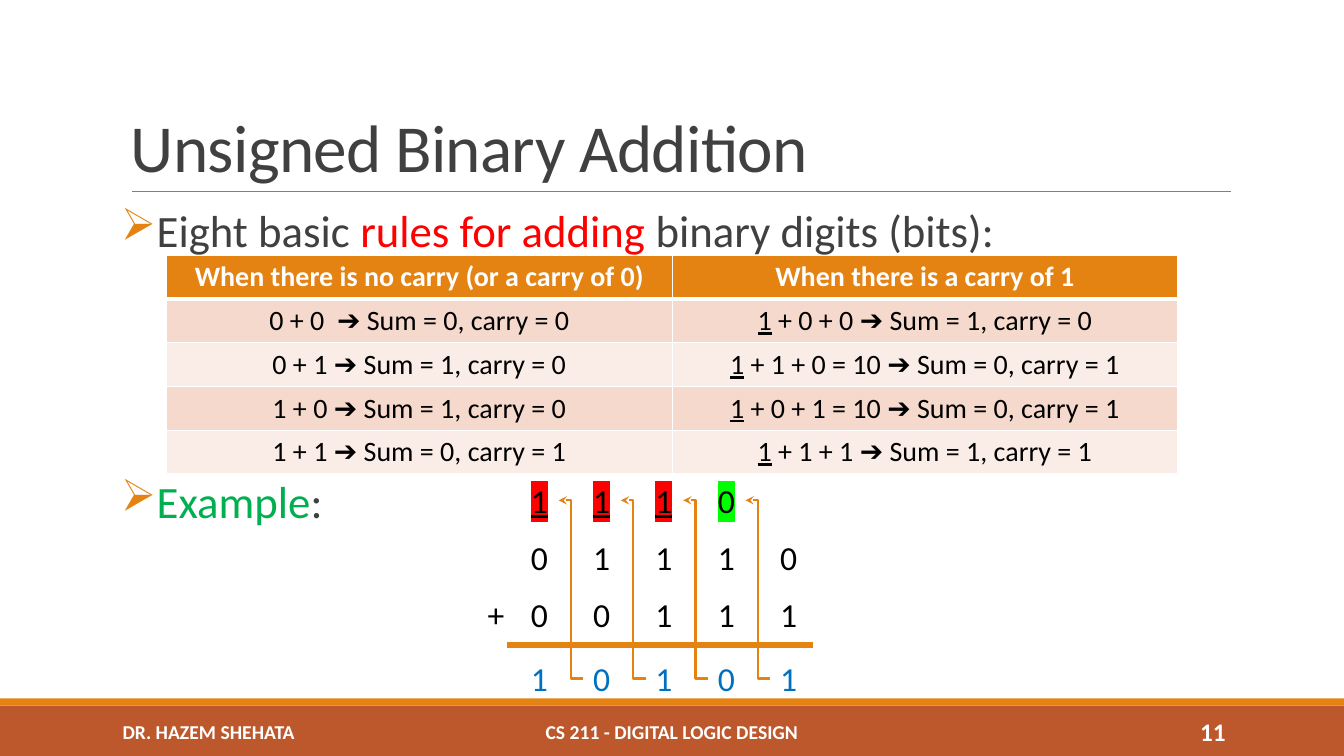
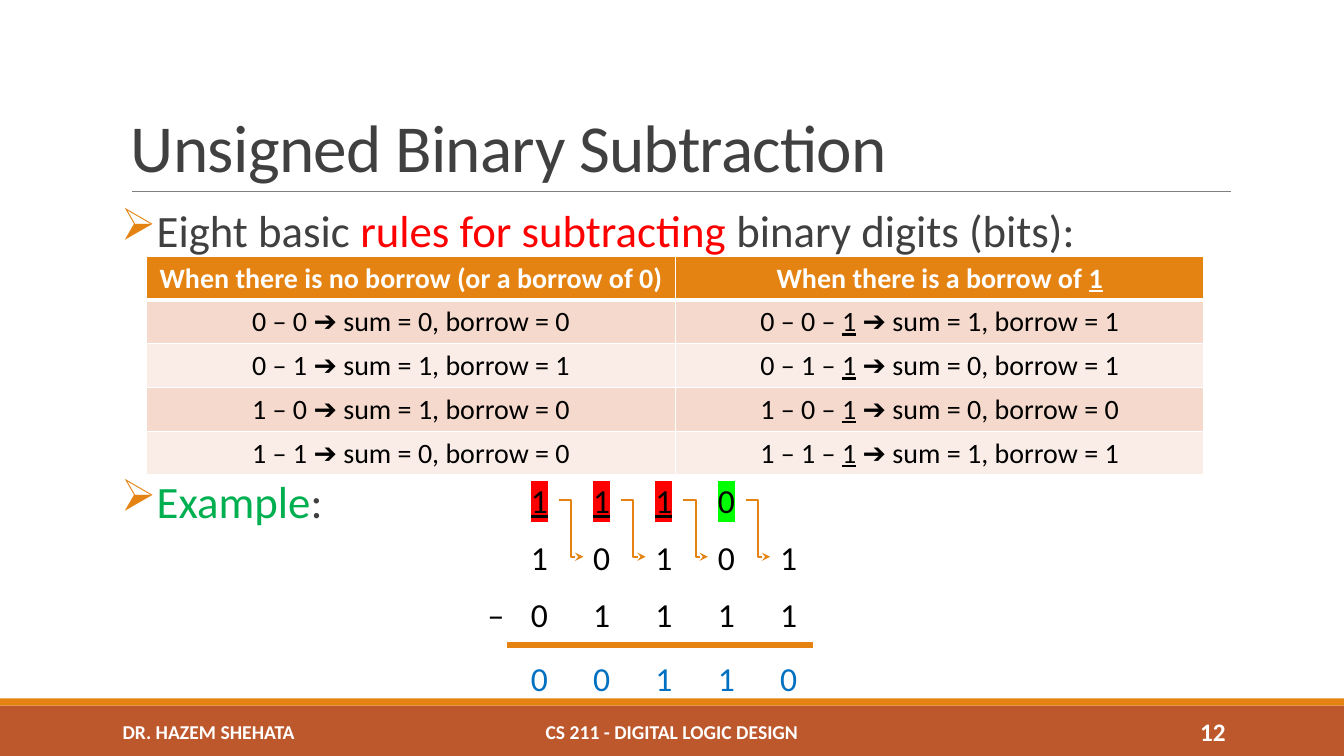
from dataclasses import dataclass
from typing import Optional

from lxml.etree import SubElement
from pptx import Presentation
from pptx.dml.color import RGBColor as Rgb
from pptx.enum.shapes import MSO_CONNECTOR as Link, MSO_SHAPE as Preset
from pptx.enum.text import MSO_ANCHOR as Anchor, PP_ALIGN as Align
from pptx.oxml.ns import qn
from pptx.shapes.connector import Connector
from pptx.slide import Slide
from pptx.table import _Cell as Cell
from pptx.text.text import _Paragraph as Paragraph
from pptx.util import Cm, Pt

FONT = "Calibri"
COLORS = {
    "orange": "E48312", "rust": "BD582C", "rule": "808080", "white": "FFFFFF",
    "dark": "404040", "black": "000000", "red": "FF0000", "green": "00B050",
    "lime": "00FF00", "blue": "0070C0", "band_odd": "F5D9CC", "band_even": "FAEDE7",
}
DIGIT_LEFT, DIGIT_STEP = 13.13, 1.57
CARRY_TOP, FIRST_TOP, SECOND_TOP, RESULT_TOP = 11.96, 13.4, 14.83, 16.46
ARROW_LEFT, ARROW_WIDTH, ARROW_TOP = 14.08, 0.62, 12.61


@dataclass(frozen=True)
class Style:
    """Font and alignment of a whole paragraph."""
    size: float
    color: str
    bold: bool = False
    align: Align = Align.LEFT


@dataclass(frozen=True)
class Span:
    """A stretch of text and what sets it apart from its paragraph."""
    text: str
    color: Optional[str] = None
    underline: bool = False
    highlight: Optional[str] = None


@dataclass(frozen=True)
class Area:
    """A rectangle in centimetres."""
    left: float
    top: float
    width: float
    height: float


@dataclass(frozen=True)
class Lesson:
    """One arithmetic operation: its rules and a worked example."""
    title: str
    number: int
    rules_phrase: str
    table_area: Area
    rows: list[tuple[str, str]]
    sign: str
    carries: str
    first: str
    second: str
    result: str
    arrow_bottom: float
    arrows_rise: bool


TITLE = Style(48, "dark")
BODY = Style(32, "dark")
FOOTER = Style(14, "white", True, Align.CENTER)
PAGE_NUMBER = Style(18, "white", True, Align.RIGHT)
TABLE_HEAD = Style(20, "white", True, Align.CENTER)
TABLE_BODY = Style(20, "black", False, Align.CENTER)
DIGIT = Style(24, "black")
RESULT = Style(24, "blue")


def rgb(name: str) -> Rgb:
    """Look up a palette colour."""
    return Rgb.from_string(COLORS[name])


def underlined(text: str) -> list[Span]:
    """Split text at underscores; every second piece is underlined."""
    pieces = text.split("_")
    return [Span(piece, underline=index % 2 == 1)
            for index, piece in enumerate(pieces) if piece]


def write(para: Paragraph, spans: list[Span], style: Style) -> None:
    """Fill a paragraph with spans in one style."""
    para.alignment = style.align
    font = para.font
    font.name, font.size, font.bold = FONT, Pt(style.size), style.bold
    font.color.rgb = rgb(style.color)
    for item in spans:
        span = para.add_run()
        span.text = item.text
        if item.color:
            span.font.color.rgb = rgb(item.color)
        if item.underline:
            span.font.underline = True
        if item.highlight:
            mark = SubElement(span.font._element, qn("a:highlight"))
            SubElement(mark, qn("a:srgbClr"), val=COLORS[item.highlight])


def add_text(page: Slide, area: Area, spans: list[Span], style: Style,
             anchor: Anchor = Anchor.TOP, wrap: bool = True) -> Paragraph:
    """Add a text box and return its paragraph."""
    box = page.shapes.add_textbox(
        Cm(area.left), Cm(area.top), Cm(area.width), Cm(area.height))
    frame = box.text_frame
    frame.word_wrap = wrap
    frame.vertical_anchor = anchor
    para = frame.paragraphs[0]
    write(para, spans, style)
    return para


def add_band(page: Slide, area: Area, color: str) -> None:
    """Add a plain filled rectangle."""
    band = page.shapes.add_shape(
        Preset.RECTANGLE, Cm(area.left), Cm(area.top), Cm(area.width), Cm(area.height))
    band.shadow.inherit = False
    band.fill.solid()
    band.fill.fore_color.rgb = rgb(color)
    band.line.fill.background()


def add_line(page: Slide, start: tuple[float, float], end: tuple[float, float],
             color: str, width: float, kind: Link = Link.STRAIGHT) -> Connector:
    """Add a connector without a shadow."""
    line = page.shapes.add_connector(
        kind, Cm(start[0]), Cm(start[1]), Cm(end[0]), Cm(end[1]))
    line.line.color.rgb = rgb(color)
    line.line.width = Pt(width)
    SubElement(line._element.spPr, qn("a:effectLst"))
    return line


def add_frame(page: Slide, title: str, number: int) -> None:
    """Draw the title, its rule and the footer that all slides share."""
    add_band(page, Area(0, 17.78, 33.87, 1.27), "rust")
    add_band(page, Area(0, 17.6, 33.87, 0.18), "orange")
    add_line(page, (3.33, 4.83), (31.01, 4.83), "rule", 0.5)
    heading = add_text(page, Area(3.05, 0.79, 27.94, 4.04), [Span(title)],
                       TITLE, Anchor.BOTTOM)
    heading.line_spacing = 0.85
    heading.runs[0].font._element.set("spc", "-50")
    for left, width, text, style in (
            (0.61, 9.3, "DR. HAZEM SHEHATA", FOOTER),
            (10.24, 13.39, "CS 211 - DIGITAL LOGIC DESIGN", FOOTER),
            (27.51, 3.63, str(number), PAGE_NUMBER)):
        add_text(page, Area(left, 17.93, width, 1.01), [Span(text)], style, Anchor.MIDDLE)


def add_bullet(page: Slide, top: float, spans: list[Span]) -> None:
    """Add a body line with an arrow bullet."""
    para = add_text(page, Area(3.05, top, 27.94, 1.5), spans, BODY)
    para.line_spacing = 0.9
    frame = page.shapes[-1].text_frame
    frame.margin_left = frame.margin_right = 0
    properties = para._p.get_or_add_pPr()
    properties.set("marL", str(Cm(0.25)))
    properties.set("indent", str(-Cm(0.25)))
    bullet_color = SubElement(properties, qn("a:buClr"))
    SubElement(bullet_color, qn("a:srgbClr"), val=COLORS["orange"])
    bullet = SubElement(properties, qn("a:buChar"), char="➢")
    properties.find(qn("a:defRPr")).addprevious(bullet_color)
    bullet_color.addnext(bullet)


def style_cell(cell: Cell, fill: str, top: float, bottom: float) -> None:
    """Give a cell white borders, then its fill."""
    properties = cell._tc.get_or_add_tcPr()
    for side, width in (("L", 1), ("R", 1), ("T", top), ("B", bottom)):
        border = SubElement(properties, qn(f"a:ln{side}"), w=str(Pt(width)))
        paint = SubElement(border, qn("a:solidFill"))
        SubElement(paint, qn("a:srgbClr"), val=COLORS["white"])
    cell.fill.solid()
    cell.fill.fore_color.rgb = rgb(fill)


def add_rules_table(page: Slide, area: Area, rows: list[tuple[str, str]]) -> None:
    """Add the two-column table of rules."""
    table = page.shapes.add_table(
        len(rows), 2, Cm(area.left), Cm(area.top), Cm(area.width), Cm(area.height)).table
    table.horz_banding = False
    for row_index, texts in enumerate(rows):
        head = row_index == 0
        fill = "orange" if head else ("band_odd" if row_index % 2 else "band_even")
        for column, text in enumerate(texts):
            cell = table.cell(row_index, column)
            style_cell(cell, fill, 3 if row_index == 1 else 1, 3 if head else 1)
            write(cell.text_frame.paragraphs[0], underlined(text),
                  TABLE_HEAD if head else TABLE_BODY)


def add_digit(page: Slide, left: float, top: float, span: Span, style: Style) -> None:
    """Add one character of the sum."""
    add_text(page, Area(left, top, 0.93, 1.27), [span], style, wrap=False)


def carry_span(digit: str) -> Span:
    """Mark a carry: red and underlined for 1, lime for 0."""
    one = digit == "1"
    return Span(digit, underline=one, highlight="red" if one else "lime")


def add_example(page: Slide, lesson: Lesson) -> None:
    """Draw the column sum with its carry arrows."""
    add_digit(page, 12.04, SECOND_TOP, Span(lesson.sign), DIGIT)
    for top, spans, style in (
            (CARRY_TOP, [carry_span(digit) for digit in lesson.carries], DIGIT),
            (FIRST_TOP, [Span(digit) for digit in lesson.first], DIGIT),
            (SECOND_TOP, [Span(digit) for digit in lesson.second], DIGIT),
            (RESULT_TOP, [Span(digit) for digit in lesson.result], RESULT)):
        for column, span in enumerate(spans):
            add_digit(page, DIGIT_LEFT + column * DIGIT_STEP, top, span, style)
    add_line(page, (12.78, 16.26), (20.5, 16.26), "orange", 4.5)
    for column in range(len(lesson.carries)):
        left = ARROW_LEFT + column * DIGIT_STEP
        ends = [(left, ARROW_TOP), (left + ARROW_WIDTH, lesson.arrow_bottom)]
        if lesson.arrows_rise:
            ends.reverse()
        arrow = add_line(page, ends[0], ends[1], "orange", 1.5, Link.ELBOW)
        SubElement(arrow.line._get_or_add_ln(), qn("a:tailEnd"), type="stealth")


def add_lesson(page: Slide, lesson: Lesson) -> None:
    """Build a whole slide."""
    add_frame(page, lesson.title, lesson.number)
    add_bullet(page, 5.13, [Span("Eight basic "), Span(lesson.rules_phrase, "red"),
                            Span(" binary digits (bits):")])
    add_bullet(page, CARRY_TOP, [Span("Example", "green"), Span(":")])
    add_rules_table(page, lesson.table_area, lesson.rows)
    add_example(page, lesson)


LESSONS = [
    Lesson("Unsigned Binary Addition", 11, "rules for adding",
           Area(4.2, 6.43, 25.48, 5.5),
           [("When there is no carry (or a carry of 0)", "When there is a carry of 1"),
            ("0 + 0  ➔ Sum = 0, carry = 0", "_1_ + 0 + 0 ➔ Sum = 1, carry = 0"),
            ("0 + 1 ➔ Sum = 1, carry = 0", "_1_ + 1 + 0 = 10 ➔ Sum = 0, carry = 1"),
            ("1 + 0 ➔ Sum = 1, carry = 0", "_1_ + 0 + 1 = 10 ➔ Sum = 0, carry = 1"),
            ("1 + 1 ➔ Sum = 0, carry = 1", "_1_ + 1 + 1 ➔ Sum = 1, carry = 1")],
           "+", "1110", "01110", "00111", "10101", 17.1, True),
    Lesson("Unsigned Binary Subtraction", 12, "rules for subtracting",
           Area(3.7, 6.46, 26.64, 5.5),
           [("When there is no borrow (or a borrow of 0)", "When there is a borrow of _1_"),
            ("0 – 0 ➔ sum = 0, borrow = 0", "0 – 0 – _1_ ➔ sum = 1, borrow = 1"),
            ("0 – 1 ➔ sum = 1, borrow = 1", "0 – 1 – _1_ ➔ sum = 0, borrow = 1"),
            ("1 – 0 ➔ sum = 1, borrow = 0", "1 – 0 – _1_ ➔ sum = 0, borrow = 0"),
            ("1 – 1 ➔ sum = 0, borrow = 0", "1 – 1 – _1_ ➔ sum = 1, borrow = 1")],
           "–", "1110", "10101", "01111", "00110", 14.03, False),
]

deck = Presentation()
deck.slide_width, deck.slide_height = Cm(33.87), Cm(19.05)
for lesson in LESSONS:
    add_lesson(deck.slides.add_slide(deck.slide_layouts[6]), lesson)
deck.save("out.pptx")
